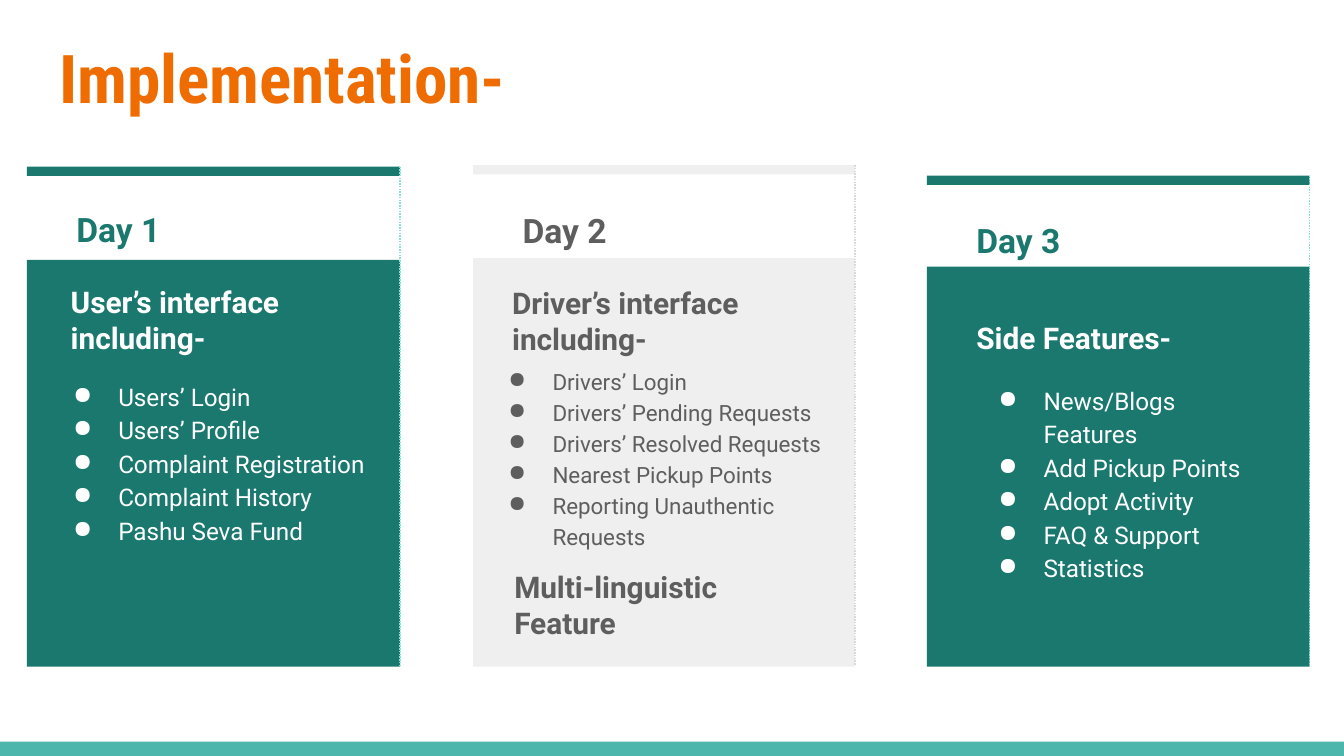
from dataclasses import dataclass
from typing import Any

from lxml import etree
from pptx import Presentation
from pptx import util as u
from pptx.dml.color import RGBColor
from pptx.enum import dml, shapes, text
from pptx.oxml.ns import qn


@dataclass(frozen=True)
class Theme:
    teal: str = "1B786E"
    mint: str = "83E3D9"
    footer: str = "4DB6AC"
    orange: str = "EF6C00"
    pale: str = "EFEFEF"
    silver: str = "D9D9D9"
    gray: str = "5E5E5E"
    white: str = "FFFFFF"
    body_font: str = "Roboto"
    title_font: str = "Roboto Condensed"
    title_size: float = 36
    day_size: float = 18
    heading_size: float = 16


@dataclass(frozen=True)
class Box:
    left: float
    top: float
    width: float
    height: float

    def points(self) -> tuple:
        return tuple(u.Pt(v) for v in (self.left, self.top, self.width, self.height))


@dataclass(frozen=True)
class Heading:
    wording: str
    box: Box


@dataclass(frozen=True)
class Card:
    left: float
    width: float
    bar_top: float
    panel_top: float
    fill: str
    ink: str
    day_color: str
    edge: str
    day: Heading
    headings: tuple[Heading, ...]
    items: tuple[str, ...]
    list_box: Box
    item_size: float
    hang: float


THEME = Theme()
CARD_BOTTOM = 357.2
BAR_HEIGHT = 5

CARDS = (
    Card(14.4, 200, 89.3, 139.2, THEME.teal, THEME.white, THEME.teal, THEME.mint,
         Heading("Day 1", Box(33.8, 101.5, 99.4, 27.4)),
         (Heading("User’s interface including-", Box(30.8, 144.9, 162, 66.2)),),
         ("Users’ Login", "Users’ Profile", "Complaint Registration",
          "Complaint History", "Pashu Seva Fund"),
         Box(20.3, 195.1, 194.4, 117.4), 13, 24.2),
    Card(253.5, 204.5, 88.5, 138.3, THEME.pale, THEME.gray, THEME.gray, THEME.silver,
         Heading("Day 2", Box(272.9, 102, 77.8, 24.5)),
         (Heading("Driver’s interface including-", Box(267.3, 145.4, 165.6, 75.6)),
          Heading("Multi-linguistic Feature", Box(268.4, 297.5, 174.2, 33.1))),
         ("Drivers’ Login", "Drivers’ Pending Requests", "Drivers’ Resolved Requests",
          "Nearest Pickup Points", "Reporting Unauthentic Requests"),
         Box(252.9, 187.9, 200.2, 168.5), 12, 23.6),
    Card(496.6, 205, 94.1, 142.9, THEME.teal, THEME.white, THEME.teal, THEME.mint,
         Heading("Day 3", Box(516, 107.3, 78.5, 23.8)),
         (Heading("Side Features-", Box(516, 164.2, 166.3, 33.1)),),
         ("News/Blogs Features", "Add Pickup Points", "Adopt Activity",
          "FAQ & Support", "Statistics"),
         Box(516, 197.3, 166.3, 137.5), 13, 24.2),
)


def add_bullet(para: Any, color: str, hang: float) -> None:
    """Give a paragraph a round bullet and a hanging indent."""
    props = para._p.get_or_add_pPr()
    props.set("marL", str(u.Pt(36)))
    props.set("indent", str(-u.Pt(hang)))
    bullet_color = etree.SubElement(props, qn("a:buClr"))
    etree.SubElement(bullet_color, qn("a:srgbClr"), val=color)
    etree.SubElement(props, qn("a:buChar"), char="●")


def write(shape: Any, *lines: str, size: float, color: str, font: str = THEME.body_font,
          bold: bool = False, spacing: float = 1.0, after: float = 0,
          hang: float = 0) -> None:
    """Fill a shape with one formatted paragraph per line."""
    frame = shape.text_frame
    frame.word_wrap = True
    frame.auto_size = text.MSO_AUTO_SIZE.NONE
    frame.vertical_anchor = text.MSO_ANCHOR.TOP
    frame.margin_left = frame.margin_right = u.Pt(7.2)
    frame.margin_top = frame.margin_bottom = u.Pt(7.2)
    for index, line in enumerate(lines):
        para = frame.add_paragraph() if index else frame.paragraphs[0]
        para.alignment = text.PP_ALIGN.LEFT
        para.line_spacing = spacing
        para.space_before, para.space_after = u.Pt(0), u.Pt(after)
        if hang:
            add_bullet(para, color, hang)
        span = para.add_run()
        span.text = line
        span.font.name, span.font.size, span.font.bold = font, u.Pt(size), bold
        span.font.color.rgb = RGBColor.from_string(color)


def add_block(parent: Any, box: Box, color: str) -> None:
    block = parent.add_shape(shapes.MSO_SHAPE.RECTANGLE, *box.points())
    block.shadow.inherit = False
    block.fill.solid()
    block.fill.fore_color.rgb = RGBColor.from_string(color)
    block.line.fill.background()


def add_edge(parent: Any, x: float, top: float, bottom: float, color: str) -> None:
    edge = parent.add_connector(shapes.MSO_CONNECTOR.STRAIGHT,
                                u.Pt(x), u.Pt(top), u.Pt(x), u.Pt(bottom))
    edge.line.color.rgb = RGBColor.from_string(color)
    edge.line.width = u.Pt(0.75)
    edge.line.dash_style = dml.MSO_LINE.ROUND_DOT
    etree.SubElement(edge._element.spPr, qn("a:effectLst"))


def add_card(page: Any, card: Card) -> None:
    parent = page.shapes.add_group_shape().shapes
    # Panel and top bar
    add_block(parent, Box(card.left, card.panel_top, card.width,
                          CARD_BOTTOM - card.panel_top), card.fill)
    add_block(parent, Box(card.left, card.bar_top, card.width, BAR_HEIGHT), card.fill)
    # Day label, headings and feature list
    write(parent.add_textbox(*card.day.box.points()), card.day.wording,
          size=THEME.day_size, color=card.day_color, bold=True, spacing=1.15, after=16)
    for heading in card.headings:
        write(parent.add_textbox(*heading.box.points()), heading.wording,
              size=THEME.heading_size, color=card.ink, bold=True)
    write(parent.add_textbox(*card.list_box.points()), *card.items,
          size=card.item_size, color=card.ink, spacing=1.15, hang=card.hang)
    # Dotted right edge
    add_edge(parent, card.left + card.width, card.bar_top, CARD_BOTTOM - 0.5, card.edge)


def main() -> None:
    deck = Presentation()
    deck.slide_width, deck.slide_height = u.Pt(720), u.Pt(405)
    page = deck.slides.add_slide(deck.slide_layouts[5])

    # Footer band
    add_block(page.shapes, Box(0, 397.3, 720, 7.7), THEME.footer)

    # Title
    title = page.shapes.title
    title.left, title.top, title.width, title.height = Box(24.5, 12.2, 671, 55.4).points()
    write(title, "Implementation-", size=THEME.title_size, color=THEME.orange,
          font=THEME.title_font, bold=True)

    # Day cards
    for card in CARDS:
        add_card(page, card)

    deck.save("out.pptx")


if __name__ == "__main__":
    main()
